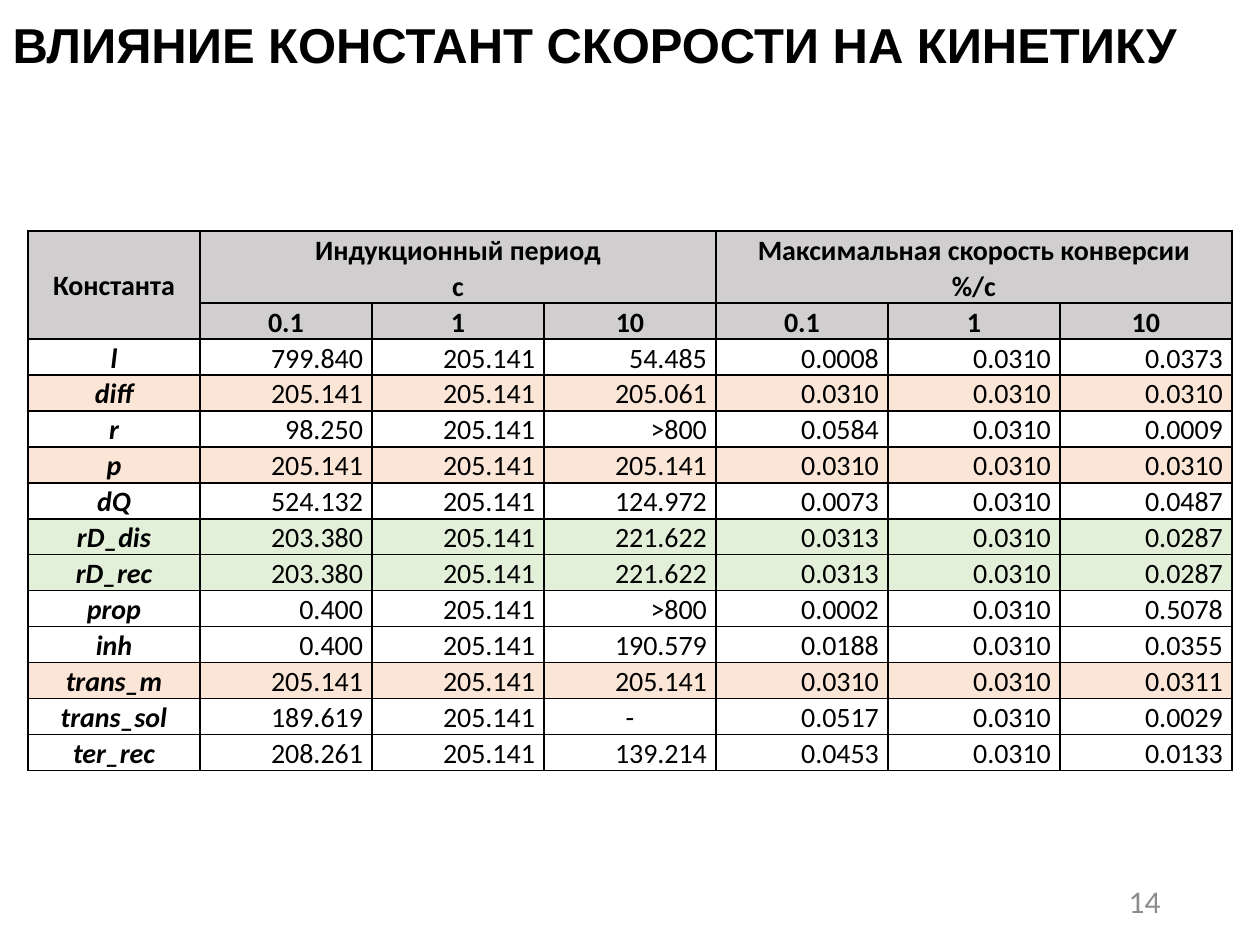
from lxml import etree
from pptx import Presentation
from pptx.dml.color import RGBColor
from pptx.enum.text import MSO_ANCHOR, PP_ALIGN
from pptx.oxml.ns import qn
from pptx.util import Emu, Pt

LEFT, CENTER, RIGHT = PP_ALIGN.LEFT, PP_ALIGN.CENTER, PP_ALIGN.RIGHT
TOP, MIDDLE = MSO_ANCHOR.TOP, MSO_ANCHOR.MIDDLE
PX = 914400 / 126
COLORS = {"text": "000000", "number": "8C8C8C", "head": "D0CECE",
          "orange": "FBE5D6", "green": "E2F0D9"}


def px(n):
    return Emu(round(n * PX))


def add_text(p, text, align, spacing, size, font, color="text", bold=False, italic=False):
    p.alignment, p.line_spacing = align, spacing
    r = p.add_run()
    r.text = text
    f = r.font
    f.size, f.name, f.bold, f.italic = Pt(size), font, bold, italic
    f.color.rgb = RGBColor.from_string(COLORS[color])


prs = Presentation()
prs.slide_width, prs.slide_height = px(1260), px(945)
s = prs.slides.add_slide(prs.slide_layouts[5])

# Title
title = s.shapes.title
title.left, title.top, title.width, title.height = px(0), px(0), px(1260), px(96)
title.text_frame.vertical_anchor = MIDDLE
add_text(title.text_frame.paragraphs[0], "ВЛИЯНИЕ КОНСТАНТ СКОРОСТИ НА КИНЕТИКУ",
         LEFT, 0.9, 28, "Arial", bold=True)

# Slide number
sp = s.shapes.add_textbox(px(890), px(876), px(283), px(50))
tf = sp.text_frame
tf.word_wrap = True
tf.vertical_anchor = MIDDLE
add_text(tf.paragraphs[0], "14", RIGHT, 1.0, 18, "Calibri", "number")

# Table contents: row fill, then cell texts
HEADER = [
    ("head", ["Константа", "Индукционный период\nс", "", "",
              "Максимальная скорость конверсии\n%/с", "", ""]),
    ("head", ["", "0.1", "1", "10", "0.1", "1", "10"]),
]
DATA = [
    (None, "l 799.840 205.141 54.485 0.0008 0.0310 0.0373"),
    ("orange", "diff 205.141 205.141 205.061 0.0310 0.0310 0.0310"),
    (None, "r 98.250 205.141 >800 0.0584 0.0310 0.0009"),
    ("orange", "p 205.141 205.141 205.141 0.0310 0.0310 0.0310"),
    (None, "dQ 524.132 205.141 124.972 0.0073 0.0310 0.0487"),
    ("green", "rD_dis 203.380 205.141 221.622 0.0313 0.0310 0.0287"),
    ("green", "rD_rec 203.380 205.141 221.622 0.0313 0.0310 0.0287"),
    (None, "prop 0.400 205.141 >800 0.0002 0.0310 0.5078"),
    (None, "inh 0.400 205.141 190.579 0.0188 0.0310 0.0355"),
    ("orange", "trans_m 205.141 205.141 205.141 0.0310 0.0310 0.0311"),
    (None, "trans_sol 189.619 205.141 - 0.0517 0.0310 0.0029"),
    (None, "ter_rec 208.261 205.141 139.214 0.0453 0.0310 0.0133"),
]
rows = HEADER + [(fill, line.split()) for fill, line in DATA]

# Table grid
COLS, COL_W, ROW_H = 7, 172, 36
table = s.shapes.add_table(len(rows), COLS, px(28), px(231),
                           px(COLS * COL_W), px((len(rows) + 1) * ROW_H)).table
table.first_row = table.horz_banding = False
for column in table.columns:
    column.width = px(COL_W)
for i, row in enumerate(table.rows):
    row.height = px(ROW_H * 2 if i == 0 else ROW_H)
table.cell(0, 0).merge(table.cell(1, 0))
table.cell(0, 1).merge(table.cell(0, 3))
table.cell(0, 4).merge(table.cell(0, 6))

# Table cells
for i, (fill, texts) in enumerate(rows):
    in_header = i < len(HEADER)
    for j, text in enumerate(texts):
        cell = table.cell(i, j)
        cell.margin_left = cell.margin_right = px(9)
        cell.margin_top = cell.margin_bottom = 0
        cell.vertical_anchor = MIDDLE if i == j == 0 else TOP

        tcPr = cell._tc.get_or_add_tcPr()
        for side in ("a:lnL", "a:lnR", "a:lnT", "a:lnB"):
            ln = etree.SubElement(tcPr, qn(side), w=str(Pt(1)))
            solid = etree.SubElement(ln, qn("a:solidFill"))
            etree.SubElement(solid, qn("a:srgbClr"), val=COLORS["text"])

        if fill:
            cell.fill.solid()
            cell.fill.fore_color.rgb = RGBColor.from_string(COLORS[fill])
        else:
            cell.fill.background()

        if not text:
            continue
        centered = in_header or j == 0 or text == "-"
        tf = cell.text_frame
        for k, line in enumerate(text.split("\n")):
            p = tf.add_paragraph() if k else tf.paragraphs[0]
            add_text(p, line, CENTER if centered else RIGHT, 1.07, 16, "Calibri",
                     bold=in_header or j == 0, italic=j == 0 and not in_header)

prs.save("out.pptx")
